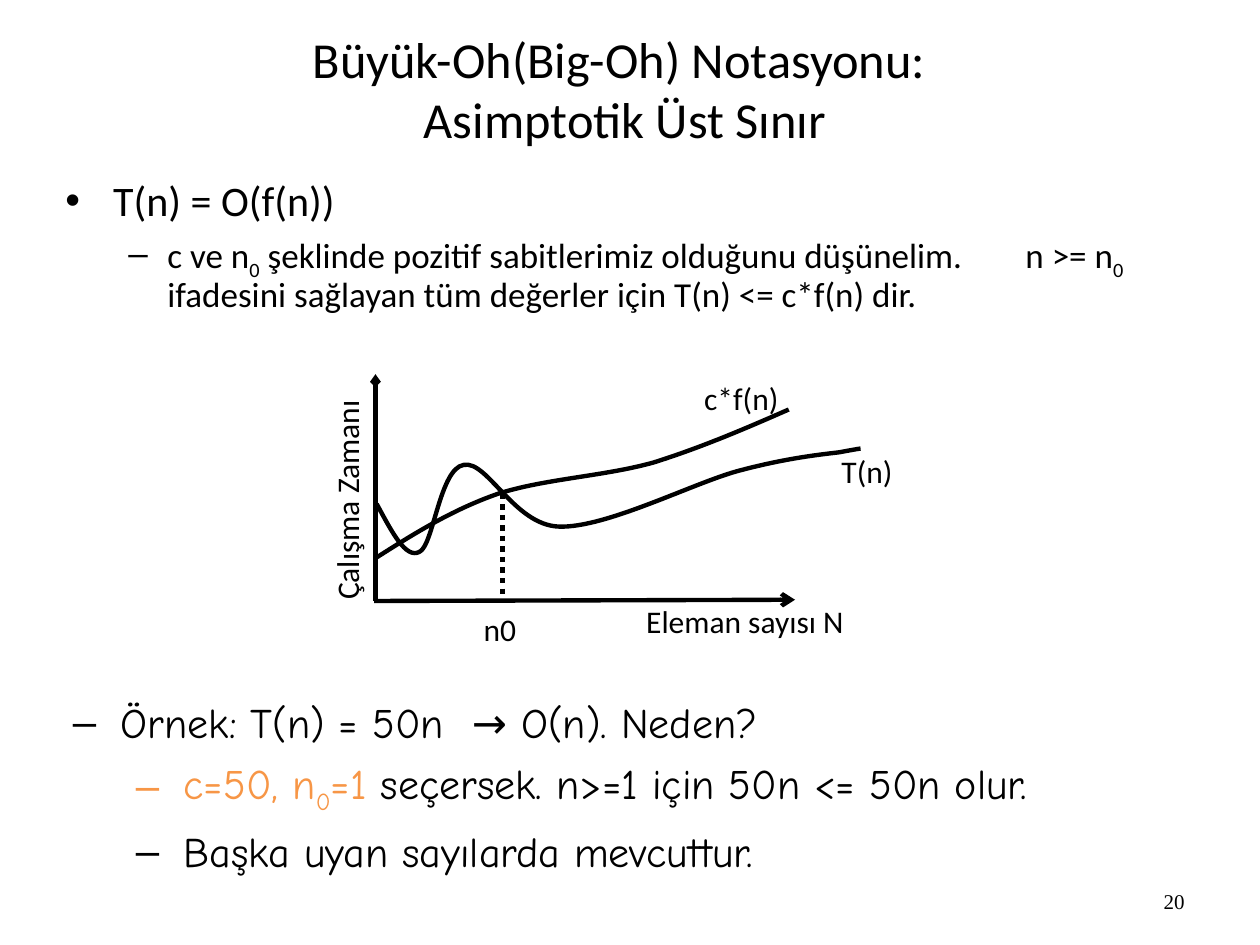
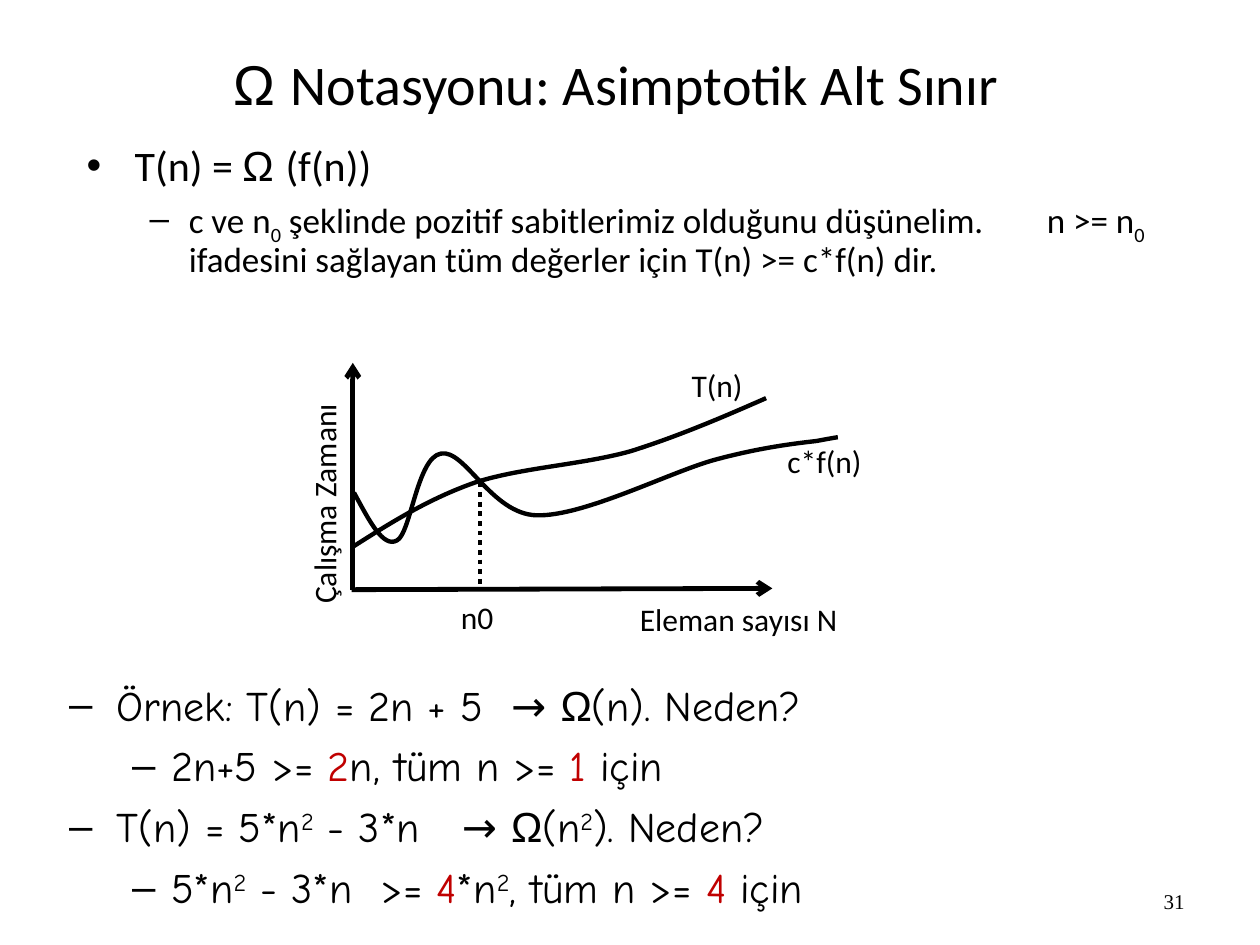
from dataclasses import dataclass

from lxml import etree
from pptx import Presentation
from pptx.dml.color import RGBColor
from pptx.enum.dml import MSO_LINE
from pptx.enum.shapes import MSO_CONNECTOR
from pptx.enum.text import MSO_ANCHOR, PP_ALIGN
from pptx.oxml.ns import qn
from pptx.util import Inches, Pt

LEFT, MID, RIGHT = PP_ALIGN.LEFT, PP_ALIGN.CENTER, PP_ALIGN.RIGHT
TOP, CENTER = MSO_ANCHOR.TOP, MSO_ANCHOR.MIDDLE
LINE = MSO_CONNECTOR.STRAIGHT
DOTS = MSO_LINE.ROUND_DOT


@dataclass(frozen=True)
class Theme:
    ink: RGBColor = RGBColor(0, 0, 0)
    warm: RGBColor = RGBColor(0xF7, 0x96, 0x46)
    red: RGBColor = RGBColor(0xC0, 0, 0)
    sans: str = "Calibri"
    greek: str = "Arial"
    hand: str = "Comic Neue"
    serif: str = "Times New Roman"
    head: float = 32
    tall: float = 28.8
    main: float = 24
    sub: float = 20
    label: float = 18
    foot: float = 12


THEME = Theme()
SUB, SUP = {"base": -25}, {"base": 30}
WARM, RED = {"ink": THEME.warm}, {"ink": THEME.red}
GREEK = {"name": THEME.greek}

RISE = [(0, -.34), (.3, -.53), (.6, -.72), (.97, -.85), (1.34, -.97),
        (1.82, -.99), (2.21, -1.1), (2.59, -1.22), (2.94, -1.37), (3.28, -1.52)]
WAVE = [(.01, -.77), (.13, -.55), (.24, -.33), (.35, -.39), (.46, -.44),
        (.51, -1.05), (.7, -1.08), (.89, -1.12), (1.1, -.6), (1.46, -.59),
        (1.83, -.58), (2.51, -.93), (2.87, -1.03), (3.24, -1.13),
        (3.51, -1.16), (3.68, -1.18), (3.84, -1.21), (3.85, -1.21), (3.85, -1.21)]
WIDTHS = {"n0": .49, "T(n)": .69, "c*f(n)": .91,
          "Eleman sayısı N": 2.02, "Çalışma Zamanı": 1.98}


class Deck:
    def __init__(self, theme):
        self.theme = theme
        self.prs = Presentation()
        self.prs.slide_width, self.prs.slide_height = Inches(10), Inches(7.5)
        self.slide = None

    def page(self, number):
        self.slide = self.prs.slides.add_slide(self.prs.slide_layouts[6])
        frame = self.box((7.17, 6.95, 2.33, .4), CENTER)
        look = {"size": self.theme.foot, "name": self.theme.serif}
        self.words(frame.paragraphs[0], [number], look, RIGHT)

    def box(self, at, anchor=TOP, turn=0):
        shape = self.slide.shapes.add_textbox(*map(Inches, at))
        shape.rotation = turn
        frame = shape.text_frame
        frame.word_wrap, frame.vertical_anchor = True, anchor
        return frame

    def words(self, para, parts, look, align=LEFT):
        para.alignment = align
        for part in parts:
            text, extra = (part, {}) if isinstance(part, str) else part
            form = {"ink": self.theme.ink, "base": 0, **look, **extra}
            run = para.add_run()
            run.text = text
            font = run.font
            for key, value in {"size": Pt(form["size"]), "name": form["name"]}.items():
                setattr(font, key, value)
            font.color.rgb = form["ink"]
            if form["base"]:
                run._r.get_or_add_rPr().set("baseline", str(form["base"] * 1000))

    def title(self, at, lines, size):
        para = self.box(at, CENTER).paragraphs[0]
        for i, parts in enumerate(lines):
            if i:
                para.add_line_break()
            self.words(para, parts, {"size": size, "name": self.theme.sans}, MID)

    def bullets(self, at, items, looks, indents, space=1.0, mark="–", stops=()):
        frame = self.box(at)
        for i, (level, parts) in enumerate(items):
            para = frame.add_paragraph() if i else frame.paragraphs[0]
            look = looks[level]
            left, hang = indents[level]
            values = {"level": level, "line_spacing": space,
                      "space_before": Pt(look["size"] / 4 if i else 0)}
            for key, value in values.items():
                setattr(para, key, value)
            props = para._p.get_or_add_pPr()
            props.set("marL", str(Inches(left)))
            props.set("indent", str(-Inches(hang)))
            etree.SubElement(props, qn("a:buFont"), typeface=self.theme.greek)
            etree.SubElement(props, qn("a:buChar"), char="–" if level else mark)
            if level and stops:
                tabs = etree.SubElement(props, qn("a:tabLst"))
                for stop in stops:
                    etree.SubElement(tabs, qn("a:tab"), pos=str(Inches(stop)), algn="l")
            self.words(para, parts, look)

    def claim(self, at, parts, sign):
        looks = [{"size": size, "name": self.theme.sans}
                 for size in (self.theme.main, self.theme.sub)]
        rule = ["c ve n", ("0", SUB),
                " şeklinde pozitif sabitlerimiz olduğunu düşünelim.\tn >= n", ("0", SUB),
                f" ifadesini sağlayan tüm değerler için T(n) {sign} c*f(n) dir."]
        self.bullets(at, [(0, parts), (1, rule)], looks, [(.38, .38), (.81, .31)],
                     .9, "•", (6.81, 7.62))

    def proof(self, at, items, inner):
        look = {"size": self.theme.main, "name": self.theme.hand}
        self.bullets(at, items, [look, look], [(.38, .38), inner])

    def label(self, text, x, y, turn=0):
        frame = self.box((x, y, WIDTHS[text], .4), TOP, turn)
        self.words(frame.paragraphs[0], [text],
                   {"size": self.theme.label, "name": self.theme.sans})

    def line(self, start, end, width, tip=None, dash=None):
        wire = self.slide.shapes.add_connector(LINE, *map(Inches, start + end))
        wire.line.color.rgb = self.theme.ink
        wire.line.width = Pt(width)
        if dash:
            wire.line.dash_style = dash
        if tip:
            etree.SubElement(wire.line._get_or_add_ln(), qn("a:tailEnd"),
                             type="arrow", w=tip, len=tip)
        etree.SubElement(wire._element.spPr, qn("a:effectLst"))

    def curve(self, points):
        spots = [tuple(map(Inches, point)) for point in points]
        maker = self.slide.shapes.build_freeform(*spots[0])
        maker.add_line_segments(spots[1:], close=False)
        shape = maker.convert_to_shape()
        shape.shadow.inherit = False
        shape.fill.background()
        shape.line.color.rgb = self.theme.ink
        shape.line.width = Pt(2.5)
        route = next(shape._element.iter(qn("a:path")))
        steps = route.findall(qn("a:lnTo"))
        for i in range(0, len(steps), 3):
            bend = etree.SubElement(route, qn("a:cubicBezTo"))
            for step in steps[i:i + 3]:
                bend.append(step[0])
                route.remove(step)

    def graph(self, left, base, labels, side, width, dot, tip):
        def spot(x, y):
            return left + x, base + y

        self.line(spot(0, 0), spot(0, -1.8), width, tip)
        self.line(spot(-.01, 0), spot(3.33, -.01), width, "med")
        for points in (RISE, WAVE):
            self.curve([spot(*point) for point in points])
        self.line(spot(1.01, -.85), spot(1.01, -.01), dot, dash=DOTS)
        self.label("n0", *spot(.76, .02))
        self.label("Çalışma Zamanı", *spot(-1.22, side), 270)
        for text, x, y in labels:
            self.label(text, x, y)


def main():
    deck = Deck(THEME)

    deck.page("20")
    deck.title((.27, .28, 9.38, .84),
               [["Büyük-Oh(Big-Oh) Notasyonu: "], ["Asimptotik Üst Sınır"]], THEME.tall)
    deck.claim((.42, 1.38, 8.99, 1.4), ["T(n) = O(f(n))"], "<=")
    deck.proof((.48, 5.48, 9.12, 1.61), [
        (0, ["Örnek: T(n) = 50n  → O(n). Neden?"]),
        (1, [("c=50, n", WARM), ("0", {**WARM, **SUB}), ("=1 ", WARM),
             "seçersek. n>=1 için 50n <= 50n olur."]),
        (1, ["Başka uyan sayılarda mevcuttur."]),
    ], (.88, .38))
    deck.graph(2.98, 4.77, [("Eleman sayısı N", 5.03, 4.73), ("c*f(n)", 5.49, 2.96),
                            ("T(n)", 6.58, 3.54)], -1.1, 2.5, 3, "sm")

    deck.page("31")
    deck.title((.46, .24, 8.96, .84),
               [[("Ω ", GREEK), "Notasyonu: Asimptotik Alt Sınır "]], THEME.head)
    deck.claim((.59, 1.1, 8.84, 1.62), ["T(n) = ", ("Ω ", GREEK), "(f(n))"], ">=")
    deck.proof((.45, 5.34, 9.12, 1.9), [
        (0, ["Örnek: T(n) = 2n + 5  → ", ("Ω", GREEK), "(n). Neden?"]),
        (1, ["2n+5 >= ", ("2", RED), "n, tüm n >= ", ("1 ", RED), "için"]),
        (0, ["T(n) = 5*n", ("2", SUP), " - 3*n   → ", ("Ω", GREEK), "(n",
             ("2", SUP), "). Neden?"]),
        (1, ["5*n", ("2", SUP), " - 3*n  >= ", ("4", RED), "*n", ("2", SUP),
             ", tüm n >= ", ("4 ", RED), "için"]),
    ], (.81, .31))
    deck.graph(2.8, 4.68, [("Eleman sayısı N", 4.98, 4.71), ("T(n)", 5.39, 2.86),
                           ("c*f(n)", 6.15, 3.46)], -.98, 2.75, 2.75, "med")

    deck.prs.save("out.pptx")


if __name__ == "__main__":
    main()
